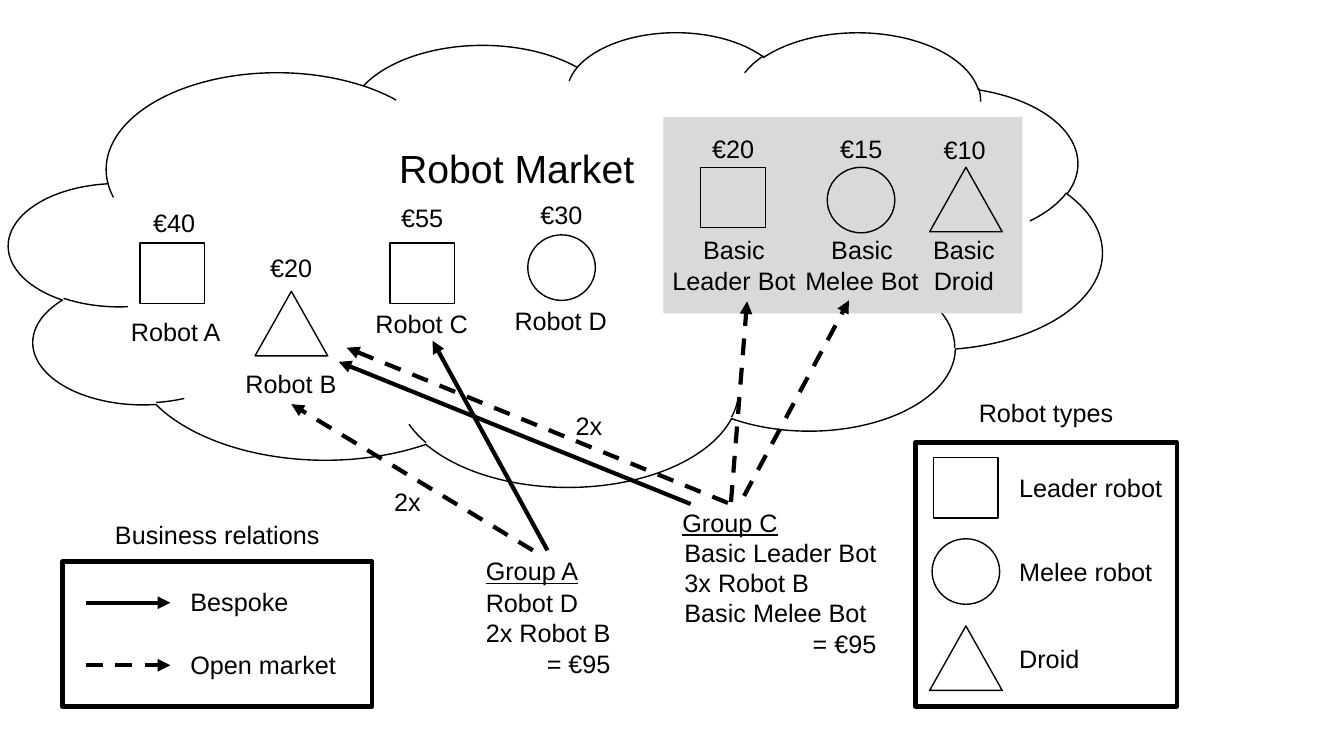
import dataclasses

import pptx
import pptx.dml.color
import pptx.enum.dml
import pptx.enum.shapes
import pptx.enum.text
import pptx.oxml
import pptx.oxml.ns
import pptx.util


@dataclasses.dataclass(frozen=True)
class Theme:
    font: str = "Arial"
    body: int = 18
    title: int = 28
    ink: str = "000000"
    panel: str = "D9D9D9"
    thin: int = 1
    thick: int = 3


THEME = Theme()
KINDS = pptx.enum.shapes.MSO_SHAPE
ALIGN = pptx.enum.text.PP_ALIGN
LEFT, CENTER, RIGHT = ALIGN.LEFT, ALIGN.CENTER, ALIGN.RIGHT

# Content: the slide is a grid of 13.33 columns by 7.5 rows, one inch each
COLUMNS, ROWS = 13.33, 7.5
TITLE = "Robot Market"
CLOUD = (0.09, 0.31, 10.84, 4.51)
BASIC_PANEL = (6.58, 1.16, 3.56, 1.95)

# Robot type: preset shape, columns wide, rows high
ROBOT_TYPES = {
    "Leader": (KINDS.RECTANGLE, 0.64, 0.6),
    "Melee": (KINDS.OVAL, 0.67, 0.65),
    "Droid": (KINDS.ISOSCELES_TRIANGLE, 0.72, 0.64),
}

# Type, symbol centre, symbol top, price, price top,
# name lines, name centre, name top, name width
ROBOTS = [
    ("Leader", 1.71, 2.41, "€40", 2.01, ["Robot A"], 1.75, 3.09, 1.1),
    ("Droid", 2.89, 2.89, "€20", 2.45, ["Robot B"], 2.89, 3.61, 1.11),
    ("Leader", 4.19, 2.41, "€55", 1.96, ["Robot C"], 4.19, 3.01, 1.13),
    ("Melee", 5.57, 2.33, "€30", 1.93, ["Robot D"], 5.57, 2.98, 1.13),
    ("Leader", 7.27, 1.66, "€20", 1.27, ["Basic", "Leader Bot"], 7.28, 2.28, 1.44),
    ("Melee", 8.54, 1.66, "€15", 1.27, ["Basic", "Melee Bot"], 8.55, 2.28, 1.34),
    ("Droid", 9.58, 1.66, "€10", 1.28, ["Basic", "Droid"], 9.56, 2.28, 0.82),
]
PRICE_WIDTH = 0.62

# Group: heading place and width, order place and width, order lines, total
GROUPS = {
    "Group A": ((4.72, 5.46, 1.13), (4.72, 5.78, 1.46),
                ["Robot D", "2x Robot B"], "= €95"),
    "Group C": ((6.67, 4.98, 1.16), (6.69, 5.28, 2.14),
                ["Basic Leader Bot", "3x Robot B", "Basic Melee Bot"], "= €95"),
}

# From, to, open market; a name stands for the middle of that label's side
RELATIONS = [
    ("Group A", "Robot B", True),
    ((5.43, 5.46), (4.29, 3.38), False),
    ((7.22, 4.99), (3.44, 3.45), True),
    ((6.85, 5), (3.36, 3.59), False),
    ("Group C", (7.41, 2.99), True),
    ((7.38, 4.92), (8.42, 2.98), True),
]
MULTIPLES = [("2x", 3.81, 4.78), ("2x", 5.61, 4.02)]

TYPES_TITLE = ("Robot types", 9.6, 3.89, 1.55)
TYPES_BOX = (9.08, 4.39, 2.59, 2.62)
TYPES_KEY = [
    ("Leader", "Leader robot", 4.84, 1.63),
    ("Melee", "Melee robot", 5.67, 1.53),
    ("Droid", "Droid", 6.53, 0.81),
]
RELATIONS_TITLE = ("Business relations", 1.03, 5.1, 2.25)
RELATIONS_BOX = (0.62, 5.57, 3.07, 1.44)
RELATIONS_KEY = [("Bespoke", 5.98, 1.18, False), ("Open market", 6.6, 1.66, True)]

# Text height: one row of type plus the box margins
LINE_ROWS, MARGIN_ROWS = 0.3, 0.1

deck = pptx.Presentation()
deck.slide_width = pptx.util.Inches(COLUMNS)
deck.slide_height = pptx.util.Inches(ROWS)
slide = deck.slides.add_slide(deck.slide_layouts[6])
labels = {}


def grid(*lengths):
    return [pptx.util.Inches(length) for length in lengths]


def color(code):
    return pptx.dml.color.RGBColor.from_string(code)


def add_outline(kind, place, line=None, fill=None):
    shape = slide.shapes.add_shape(kind, *grid(*place))
    shape.shadow.inherit = False
    if fill:
        shape.fill.solid()
        shape.fill.fore_color.rgb = color(fill)
    else:
        shape.fill.background()
    if line:
        shape.line.color.rgb = color(THEME.ink)
        shape.line.width = pptx.util.Pt(line)
    else:
        shape.line.fill.background()
    return shape


def write(paragraph, text, size, align, underline=False):
    paragraph.alignment = align
    run = paragraph.add_run()
    run.text = text
    run.font.name = THEME.font
    run.font.size = pptx.util.Pt(size)
    run.font.color.rgb = color(THEME.ink)
    if underline:
        run.font.underline = True


def add_label(lines, left, top, width, align=LEFT, underline=False, total=None):
    rows = [(line, align) for line in lines]
    if total:
        rows.append((total, RIGHT))
    height = len(rows) * LINE_ROWS + MARGIN_ROWS
    label = slide.shapes.add_textbox(*grid(left, top, width, height))
    frame = label.text_frame
    frame.word_wrap = False
    frame.auto_size = pptx.enum.text.MSO_AUTO_SIZE.SHAPE_TO_FIT_TEXT
    for index, (line, side) in enumerate(rows):
        paragraph = frame.add_paragraph() if index else frame.paragraphs[0]
        write(paragraph, line, THEME.body, side, underline)
    labels[" ".join(lines)] = label


def add_symbol(robot_type, center, top):
    kind, width, height = ROBOT_TYPES[robot_type]
    add_outline(kind, (center - width / 2, top, width, height), THEME.thin)


def add_relation(start, end, open_market):
    points = [(0, 0) if isinstance(spot, str) else spot for spot in (start, end)]
    arrow = slide.shapes.add_connector(
        pptx.enum.shapes.MSO_CONNECTOR.STRAIGHT, *grid(*points[0], *points[1]))
    if isinstance(start, str):
        arrow.begin_connect(labels[start], 0)
    if isinstance(end, str):
        arrow.end_connect(labels[end], 2)
    arrow.line.color.rgb = color(THEME.ink)
    arrow.line.width = pptx.util.Pt(THEME.thick)
    if open_market:
        arrow.line.dash_style = pptx.enum.dml.MSO_LINE.DASH
    properties = arrow.element.spPr
    head = pptx.oxml.parse_xml(
        f'<a:tailEnd {pptx.oxml.ns.nsdecls("a")} type="triangle"/>')
    properties.find(pptx.oxml.ns.qn("a:ln")).append(head)
    properties.append(
        pptx.oxml.parse_xml(f'<a:effectLst {pptx.oxml.ns.nsdecls("a")}/>'))


# Market cloud and its title
market = add_outline(KINDS.CLOUD, CLOUD, THEME.thin).text_frame
market.vertical_anchor = pptx.enum.text.MSO_ANCHOR.TOP
market.margin_top = pptx.util.Inches(0.44)
market.word_wrap = True
write(market.paragraphs[0], TITLE, THEME.title, CENTER)
add_outline(KINDS.RECTANGLE, BASIC_PANEL, fill=THEME.panel)

# Robots on offer
for kind, center, top, price, price_top, name, name_center, name_top, width in ROBOTS:
    add_symbol(kind, center, top)
    add_label([price], (center + name_center - PRICE_WIDTH) / 2, price_top, PRICE_WIDTH)
    add_label(name, name_center - width / 2, name_top, width,
              CENTER if len(name) > 1 else LEFT)

# Groups with their orders
for group, (heading, order, items, total) in GROUPS.items():
    add_label([group], *heading, underline=True)
    add_label(items, *order, total=total)

# Relations between groups and robots
for relation in RELATIONS:
    add_relation(*relation)
for multiple, left, top in MULTIPLES:
    add_label([multiple], left, top, 0.47)

# Keys: robot types and business relations
for box in (TYPES_BOX, RELATIONS_BOX):
    add_outline(KINDS.RECTANGLE, box, THEME.thick)
for title, *place in (TYPES_TITLE, RELATIONS_TITLE):
    add_label([title], *place, align=CENTER)
for kind, text, middle, width in TYPES_KEY:
    add_symbol(kind, 9.58, middle - ROBOT_TYPES[kind][2] / 2)
    add_label([text], 10.01, middle - 0.2, width)
for text, middle, width, open_market in RELATIONS_KEY:
    add_relation((0.85, middle), (1.69, middle), open_market)
    add_label([text], 1.79, middle - 0.21, width)

deck.save("out.pptx")
